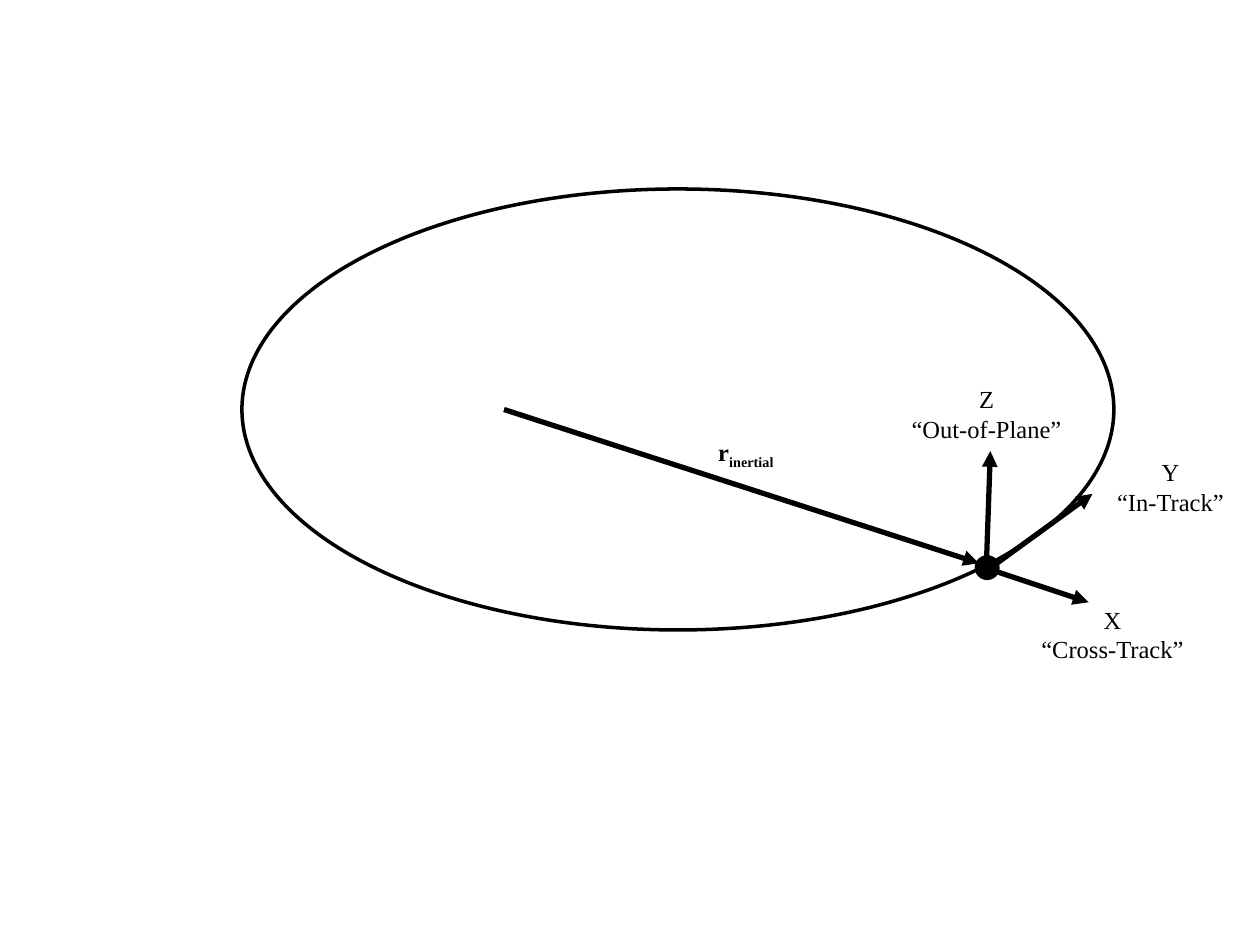
from lxml import etree
from pptx import Presentation
from pptx import util as u
from pptx.dml.color import RGBColor
from pptx.enum import shapes, text
from pptx.oxml.ns import qn

BLACK = RGBColor(0, 0, 0)
FONT = "Times New Roman"
WIDTH, HEIGHT = 10, 7.5


def add_ellipse(slide, left, top, width, height, fill=None):
    ellipse = slide.shapes.add_shape(
        shapes.MSO_SHAPE.OVAL, *map(u.Inches, (left, top, width, height)))
    ellipse.shadow.inherit = False
    if fill is None:
        ellipse.fill.background()
    else:
        ellipse.fill.solid()
        ellipse.fill.fore_color.rgb = fill
    ellipse.line.color.rgb = BLACK
    ellipse.line.width = u.Pt(2)


def add_vector(slide, start, end):
    vector = slide.shapes.add_connector(
        shapes.MSO_CONNECTOR.STRAIGHT, *map(u.Inches, start + end))
    vector.line.color.rgb = BLACK
    vector.line.width = u.Pt(3)
    etree.SubElement(vector.line._get_or_add_ln(), qn("a:tailEnd"), type="triangle")
    etree.SubElement(vector._element.spPr, qn("a:effectLst"))


def add_label(slide, lines, left, top, width=1.5, size=14, bold=False, subscript=None):
    label = slide.shapes.add_textbox(
        *map(u.Inches, (left, top, width, 0.1 + 0.235 * len(lines))))
    frame = label.text_frame
    frame.word_wrap = True
    frame.auto_size = text.MSO_AUTO_SIZE.SHAPE_TO_FIT_TEXT
    frame.text = "\n".join(lines)
    if subscript:
        lowered = frame.paragraphs[-1].add_run()
        lowered.text = subscript
        lowered.font._element.set("baseline", "-25000")
    for paragraph in frame.paragraphs:
        paragraph.alignment = text.PP_ALIGN.CENTER
        for run in paragraph.runs:
            run.font.name = FONT
            run.font.size = u.Pt(size)
            run.font.bold = bold
            run.font.color.rgb = BLACK


def main():
    deck = Presentation()
    deck.slide_width, deck.slide_height = u.Inches(WIDTH), u.Inches(HEIGHT)
    slide = deck.slides.add_slide(deck.slide_layouts[6])

    add_vector(slide, (4, 3.25), (7.77, 4.47))
    add_ellipse(slide, 1.92, 1.5, 6.92, 3.5)
    add_ellipse(slide, 7.75, 4.42, 0.17, 0.17, fill=BLACK)

    axes = (
        ((7.89, 4.53), (8.64, 4.78)),
        ((7.83, 4.44), (7.86, 3.58)),
        ((7.83, 4.53), (8.67, 3.92)),
    )
    for start, end in axes:
        add_vector(slide, start, end)

    add_label(slide, ["Y", "“In-Track”"], 8.58, 3.58, width=1.42)
    add_label(slide, ["Z", "“Out-of-Plane”"], 7.08, 3)
    add_label(slide, ["X", "“Cross-Track”"], 8.08, 4.75)
    add_label(slide, ["r"], 5.17, 3.42, bold=True, subscript="inertial")
    deck.save("out.pptx")


if __name__ == "__main__":
    main()
